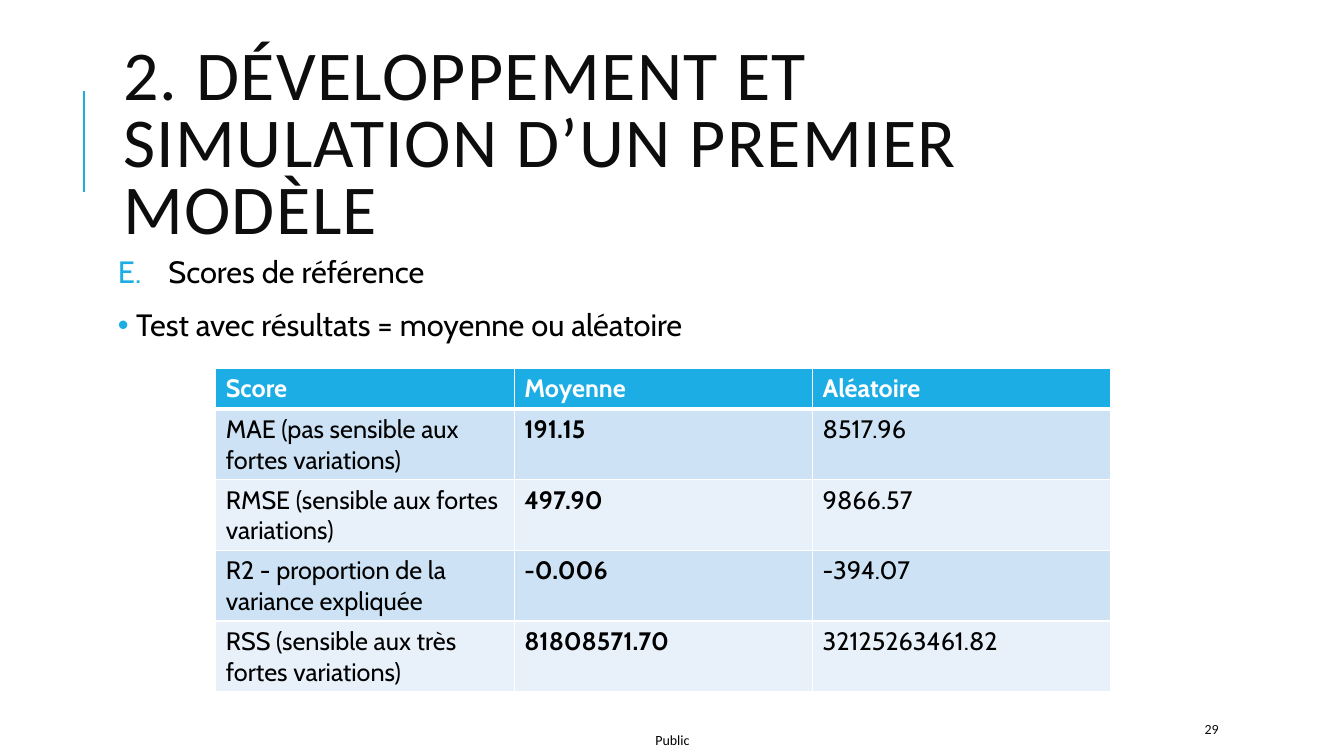
import pptx
import pptx.dml.color
import pptx.enum.shapes
import pptx.enum.text
import pptx.oxml
import pptx.oxml.ns
import pptx.util
from pptx.util import Inches

NS = pptx.oxml.ns.nsdecls("a")
ANCHOR = pptx.enum.text.MSO_ANCHOR
ROWS = [
    ("Score", "Moyenne", "Aléatoire"),
    ("MAE (pas sensible aux fortes variations)", "191.15", "8517.96"),
    ("RMSE (sensible aux fortes variations)", "497.90", "9866.57"),
    ("R2 - proportion de la variance expliquée", "-0.006", "-394.07"),
    ("RSS (sensible aux très fortes variations)", "81808571.70", "32125263461.82"),
]


def rgb(value):
    return pptx.dml.color.RGBColor.from_string(value)


class Deck:
    ACCENT, BLACK, DARK, WHITE = "1CADE4", "000000", "0D0D0D", "FFFFFF"
    BANDS = ("E8F1FA", "CDE3F5")
    HEADING, BODY = "Calibri", "Cabin"

    def __init__(self):
        self.prs = pptx.Presentation()
        self.prs.slide_width = Inches(13.33)
        self.prs.slide_height = Inches(7.5)

    def add_slide(self):
        self.s = self.prs.slides.add_slide(self.prs.slide_layouts[1])

    def place(self, sp, left, top, width, height):
        sp.left, sp.top = Inches(left), Inches(top)
        sp.width, sp.height = Inches(width), Inches(height)

    def inset(self, tf, margin):
        tf.margin_left = tf.margin_right = Inches(margin)
        tf.margin_top = tf.margin_bottom = Inches(margin)

    def style(self, p, font, size, color, bold=False):
        for r in p.runs:
            r.font.name, r.font.size = font, pptx.util.Pt(size)
            r.font.color.rgb, r.font.bold = rgb(color), bold

    def title(self, text, *box):
        sp = self.s.shapes.title
        self.place(sp, *box)
        tf = sp.text_frame
        tf.text = text
        tf.auto_size = pptx.enum.text.MSO_AUTO_SIZE.NONE
        tf.vertical_anchor = ANCHOR.MIDDLE
        p = tf.paragraphs[0]
        p.alignment = pptx.enum.text.PP_ALIGN.LEFT
        p.line_spacing = 0.8
        self.style(p, self.HEADING, 50, self.DARK)
        p.runs[0].font._element.set("spc", "100")

    def body(self, items, *box):
        """Fill the body with (text, indent in inches, bullet XML) items."""
        sp = self.s.placeholders[1]
        self.place(sp, *box)
        tf = sp.text_frame
        tf.auto_size = pptx.enum.text.MSO_AUTO_SIZE.NONE
        tf.vertical_anchor = ANCHOR.TOP
        self.inset(tf, 0.05)
        tf.text = "\n".join(text for text, _, _ in items)
        for i, (p, (_, indent, bullet)) in enumerate(zip(tf.paragraphs, items)):
            p.line_spacing = 0.9
            p.space_before = pptx.util.Pt(12 if i else 0)
            p.space_after = pptx.util.Pt(2)
            pPr = p._p.get_or_add_pPr()
            pPr.set("marL", str(Inches(indent)))
            pPr.set("indent", str(-Inches(indent)))
            color = f'<a:buClr {NS}><a:srgbClr val="{self.ACCENT}"/></a:buClr>'
            for xml in (color, bullet):
                pPr.append(pptx.oxml.parse_xml(xml))
            self.style(p, self.BODY, 22, self.BLACK)

    def label(self, text, color, margins, *box):
        sp = self.s.shapes.add_textbox(*map(Inches, box))
        tf = sp.text_frame
        tf.text = text
        tf.vertical_anchor = ANCHOR.MIDDLE
        if margins:
            tf.word_wrap = True
        else:
            self.inset(tf, 0)
        self.style(tf.paragraphs[0], self.HEADING, 10, color)

    def line(self, x1, y1, x2, y2):
        c = self.s.shapes.add_connector(
            pptx.enum.shapes.MSO_CONNECTOR.STRAIGHT, *map(Inches, (x1, y1, x2, y2)))
        c.line.color.rgb, c.line.width = rgb(self.ACCENT), pptx.util.Pt(1.5)
        c._element.spPr.append(pptx.oxml.parse_xml(f"<a:effectLst {NS}/>"))

    def borders(self, cell, **widths):
        """Draw white borders; widths in points keyed by side (L, R, T, B)."""
        tcPr = cell._tc.get_or_add_tcPr()
        for side, width in widths.items():
            tcPr.append(pptx.oxml.parse_xml(
                f'<a:ln{side} {NS} w="{pptx.util.Pt(width)}"><a:solidFill>'
                f'<a:srgbClr val="{self.WHITE}"/></a:solidFill></a:ln{side}>'))

    def table(self, rows, left, top, col_width, head_height, row_height):
        n = len(rows[0])
        height = head_height + row_height * (len(rows) - 1)
        table = self.s.shapes.add_table(
            len(rows), n, Inches(left), Inches(top),
            Inches(col_width * n), Inches(height)).table
        for column in table.columns:
            column.width = Inches(col_width)
        for i, values in enumerate(rows):
            head = i == 0
            table.rows[i].height = Inches(head_height if head else row_height)
            for j, value in enumerate(values):
                cell = table.cell(i, j)
                cell.text = value
                self.borders(cell, L=1, R=1, T=3 if i == 1 else 1, B=3 if head else 1)
                cell.fill.solid()
                cell.fill.fore_color.rgb = rgb(self.ACCENT if head else self.BANDS[i % 2])
                self.style(cell.text_frame.paragraphs[0], self.BODY, 18,
                           self.WHITE if head else self.BLACK, head or j == 1)


def main():
    deck = Deck()
    deck.add_slide()
    deck.line(0.83, 1.9, 0.83, 0.9)
    deck.label("Public", deck.BLACK, False, 6.5, 7.26, 0.37, 0.17)
    deck.title("2. DÉVELOPPEMENT ET SIMULATION D’UN PREMIER MODÈLE",
               1.12, 0.64, 10.63, 1.64)
    deck.body([
        ("Scores de référence", 0.5,
         f'<a:buAutoNum {NS} type="alphaUcPeriod" startAt="5"/>'),
        ("Test avec résultats = moyenne ou aléatoire", 0.18,
         f'<a:buChar {NS} char="•"/>'),
    ], 1.12, 2.5, 10.63, 4.4)
    deck.table(ROWS, 2.14, 3.65, 2.96, 0.41, 0.7)
    deck.label("29", deck.DARK, True, 11.85, 7.08, 1.06, 0.3)
    deck.prs.save("out.pptx")


if __name__ == "__main__":
    main()
